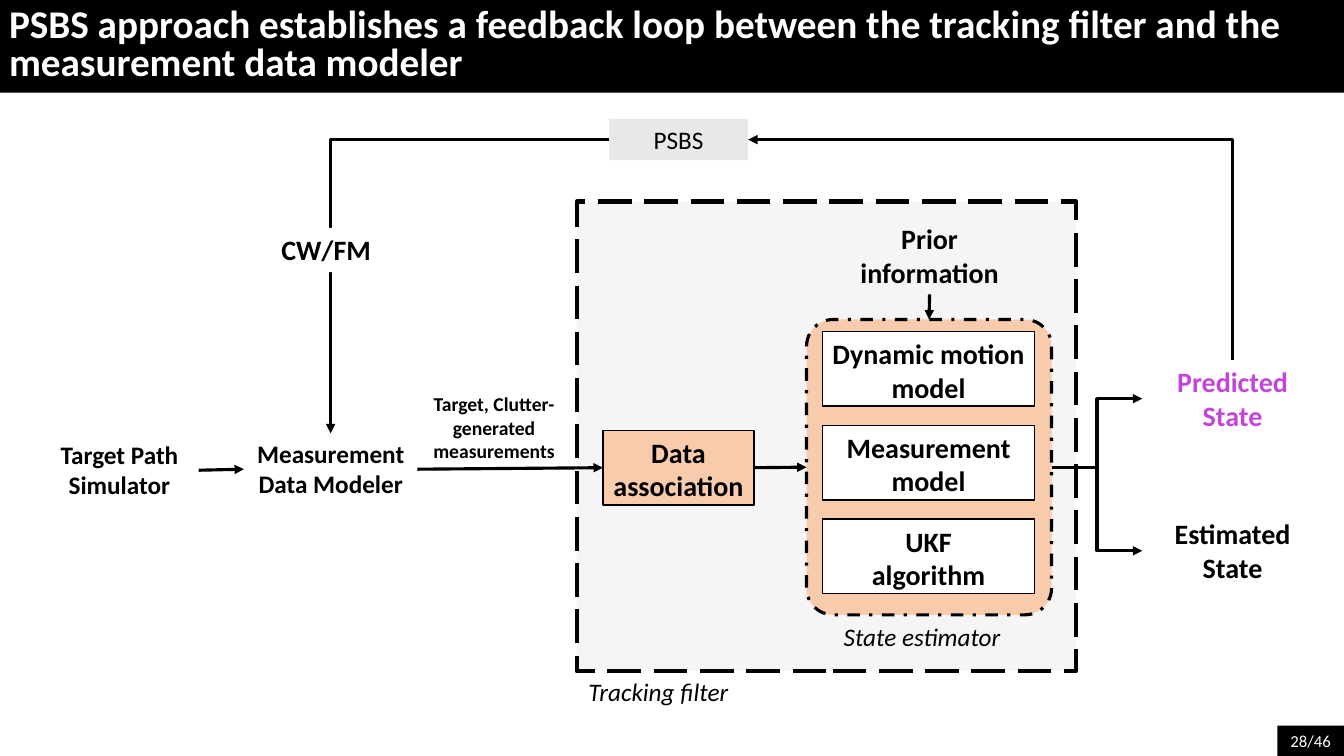
import pptx
import pptx.util
import pptx.dml.color
import pptx.enum.dml
import pptx.enum.shapes
import pptx.enum.text
import pptx.oxml

RGB = pptx.dml.color.RGBColor
BLACK = RGB(0, 0, 0)
WHITE = RGB(255, 255, 255)
PALE = RGB(0xF5, 0xF5, 0xF5)
GREY = RGB(0xE8, 0xE8, 0xE8)
PEACH = RGB(0xF8, 0xCB, 0xAD)
PURPLE = RGB(0xC4, 0x45, 0xD9)

KIND = pptx.enum.shapes.MSO_SHAPE
WIRE = pptx.enum.shapes.MSO_CONNECTOR
DASH = pptx.enum.dml.MSO_LINE
ALIGN = pptx.enum.text.PP_ALIGN
ANCHOR = pptx.enum.text.MSO_ANCHOR
TOP, LEFT, BOTTOM, RIGHT = range(4)


def px(n):
    """Turn px into EMU, at 100 px to the inch."""
    return pptx.util.Emu(n * 9144)


def write(shape, text, size, color=BLACK, bold=False, italic=False, align=ALIGN.CENTER):
    """Fill a shape with text in one style."""
    frame = shape.text_frame
    frame.word_wrap = True
    frame.vertical_anchor = ANCHOR.TOP
    frame.margin_left = frame.margin_right = px(9)
    frame.margin_top = frame.margin_bottom = px(5)
    frame.text = text
    for para in frame.paragraphs:
        para.alignment = align
        font = para.font
        font.name, font.size = "Calibri", pptx.util.Pt(size)
        font.bold, font.italic, font.color.rgb = bold, italic, color


def block(slide, box, fill, line=0, dash=None, kind=KIND.RECTANGLE):
    """Draw a filled shape, with an outline if line is given."""
    shape = slide.shapes.add_shape(kind, *map(px, box))
    shape.shadow.inherit = False
    shape.fill.solid()
    shape.fill.fore_color.rgb = fill
    if line:
        shape.line.color.rgb = BLACK
        shape.line.width = pptx.util.Pt(line)
        shape.line.dash_style = dash
    else:
        shape.line.fill.background()
    return shape


def label(slide, box, text, size, **style):
    """Add a text box."""
    shape = slide.shapes.add_textbox(*map(px, box))
    write(shape, text, size, **style)
    return shape


def link(slide, start, out, stop, into, preset="line", end="tailEnd"):
    """Join two shapes with an arrow."""
    kind = WIRE.STRAIGHT if preset == "line" else WIRE.ELBOW
    wire = slide.shapes.add_connector(kind, 0, 0, 0, 0)
    wire.begin_connect(start, out)
    wire.end_connect(stop, into)
    wire.line.color.rgb = BLACK
    wire.line.width = pptx.util.Pt(2.25)
    props = wire._element.spPr
    props.find(pptx.oxml.ns.qn("a:prstGeom")).set("prst", preset)
    space = pptx.oxml.ns.nsdecls("a")
    wire.line._get_or_add_ln().append(
        pptx.oxml.parse_xml(f'<a:{end} {space} type="triangle"/>'))
    props.append(pptx.oxml.parse_xml(f"<a:effectLst {space}/>"))


def header(slide, box):
    """Draw the title bar."""
    bar = block(slide, box, BLACK)
    write(bar, "PSBS approach establishes a feedback loop between the tracking filter "
          "and the measurement data modeler", 28, WHITE, True, align=ALIGN.LEFT)
    bar.text_frame.vertical_anchor = ANCHOR.MIDDLE
    bar.text_frame.paragraphs[0].line_spacing = 0.8


def footer(slide, box):
    """Draw the page number."""
    write(block(slide, box, BLACK), "28/46", 12, WHITE)


def states(slide, box):
    """Place the predicted and estimated states and return them."""
    x, y, w, h = box
    first = label(slide, (x, y, w, 77), "Predicted State", 20, color=PURPLE, bold=True)
    last = label(slide, (x, y + h - 77, w, 77), "Estimated State", 20, bold=True)
    return first, last


def models(slide, box):
    """Draw the state estimator with its stacked models and return its frame."""
    x, y, w, h = box
    frame = block(slide, box, PEACH, 2.25, DASH.DASH_DOT, KIND.ROUNDED_RECTANGLE)
    frame.adjustments[0] = 0.109
    names = "Dynamic motion model", "Measurement model", "UKF\nalgorithm"
    for row, name in enumerate(names):
        cell = block(slide, (x + 16, y + 12 + 93 * row, w - 33, 74), WHITE, 1)
        write(cell, name, 20, bold=True)
    label(slide, (x + 16, y + h + 1, 197, 38), "State estimator", 18, italic=True)
    return frame


def tracker(slide, box):
    """Draw the tracking filter and return its first and last blocks."""
    x, y, w, h = box
    block(slide, box, PALE, 3, DASH.LONG_DASH)
    prior = label(slide, (x + 255, y + 15, 190, 77), "Prior information", 20, bold=True)
    frame = models(slide, (x + 228, y + 117, 243, 293))
    data = block(slide, (x + 26, y + 227, 150, 74), PEACH, 1)
    write(data, "Data association", 20, bold=True)
    link(slide, prior, BOTTOM, frame, TOP)
    link(slide, data, RIGHT, frame, LEFT)
    label(slide, (x, y + h, 162, 38), "Tracking filter", 18, italic=True)
    return data, frame


def source(slide, box):
    """Draw the simulator and the data modeler and return the modeler."""
    x, y, w, h = box
    path = block(slide, (x, y + 1, 157, h), WHITE)
    write(path, "Target Path Simulator", 18, bold=True)
    model = block(slide, (x + w - 172, y, 172, h), WHITE)
    write(model, "Measurement Data Modeler", 18, bold=True)
    link(slide, path, RIGHT, model, LEFT)
    return model


def loop(slide, box, model, state):
    """Draw the feedback path from the predicted state to the modeler."""
    x, y, w, h = box
    psbs = block(slide, (x + 342, y, 138, 41), GREY)
    write(psbs, "PSBS", 18)
    link(slide, psbs, LEFT, model, TOP, "bentConnector2")
    link(slide, psbs, RIGHT, state, TOP, "bentConnector2", "headEnd")
    wave = block(slide, (x, y + h - 44, 123, 44), WHITE)
    write(wave, "CW/FM", 20, bold=True)


def main():
    """Build and save the slide."""
    deck = pptx.Presentation()
    deck.slide_width, deck.slide_height = px(1333), px(750)
    slide = deck.slides.add_slide(deck.slide_layouts[6])
    footer(slide, (1267, 720, 66, 30))
    header(slide, (0, 0, 1333, 92))
    data, frame = tracker(slide, (572, 200, 495, 466))
    model = source(slide, (40, 430, 374, 71))
    link(slide, model, RIGHT, data, LEFT)
    label(slide, (409, 384, 162, 77), "Target, Clutter-generated measurements", 14, bold=True)
    ends = states(slide, (1133, 357, 179, 228))
    for state in ends:
        link(slide, frame, RIGHT, state, LEFT, "bentConnector3")
    loop(slide, (262, 118, 960, 152), model, ends[0])
    deck.save("out.pptx")


if __name__ == "__main__":
    main()
